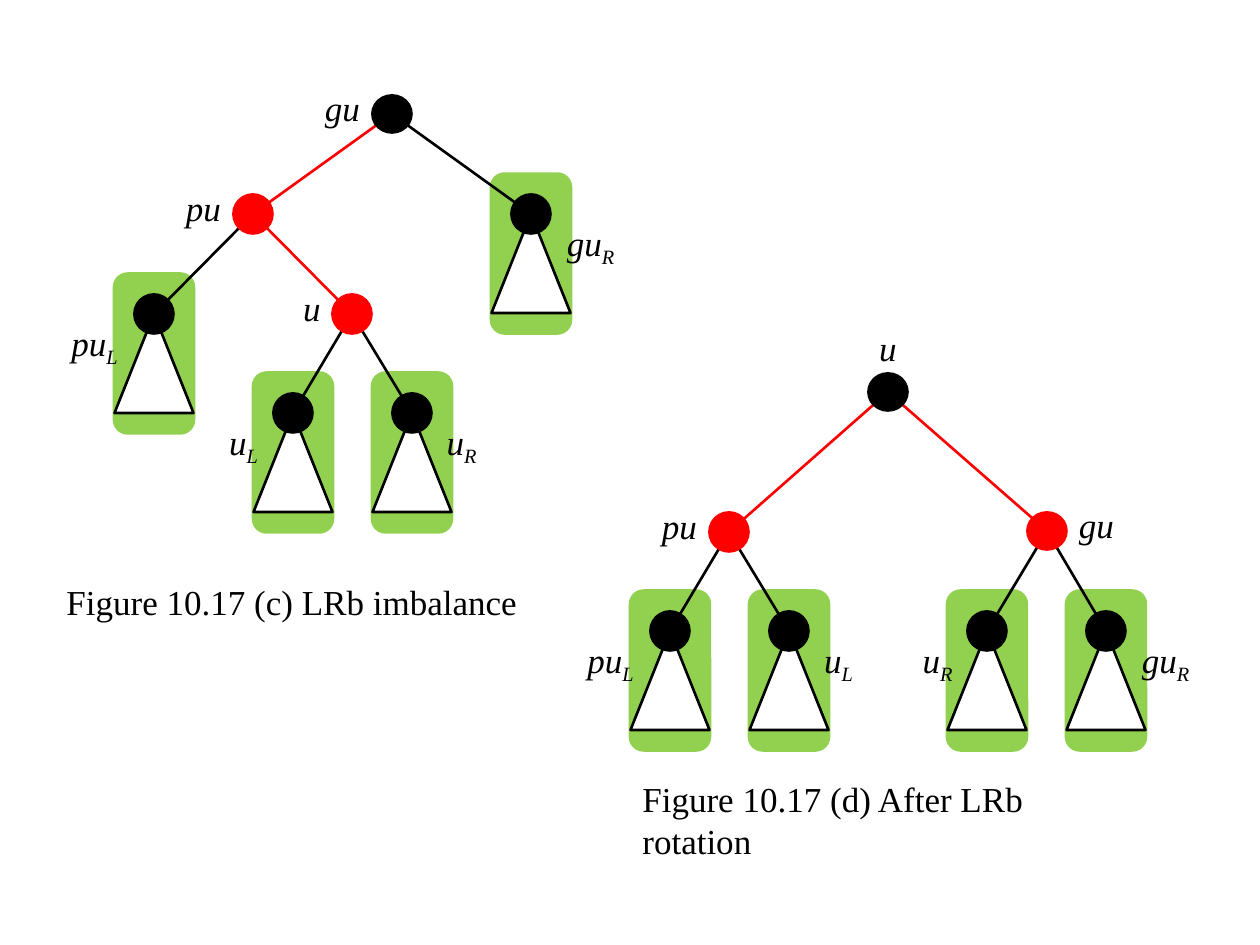
import pptx
import pptx.util
import pptx.dml.color
import pptx.enum.shapes
import pptx.enum.text
import pptx.oxml.ns
from collections import namedtuple
from lxml import etree

RGB = pptx.dml.color.RGBColor
BLACK, WHITE = RGB(0, 0, 0), RGB(255, 255, 255)
RED, GREEN = RGB(255, 0, 0), RGB(0x92, 0xD0, 0x50)
SHAPE = pptx.enum.shapes.MSO_SHAPE
ANCHOR = pptx.enum.text.MSO_ANCHOR
FONT = "Times New Roman"
DOT = 40  # node diameter, also the label height
FLAT = 38  # height of the slightly flattened nodes
SUBTREE_W, SUBTREE_H = 79, 99

# side is where the label stands; a subtree hangs a triangle below its node
Node = namedtuple("Node", "x y text sub side label_w color height subtree")


def px(n):
    return pptx.util.Emu(round(n * 914400 / 126))


def inner(x, y, text, side, color, label_w=59, height=DOT):
    return Node(x, y, text, "", side, label_w, color, height, False)


def leaf(x, y, text, sub, side):
    label_w = 59 if len(text) == 1 else 79
    return Node(x, y, text, sub, side, label_w, BLACK, DOT, True)


def add_shape(slide, kind, x, y, w, h, fill, line, width):
    sp = slide.shapes.add_shape(kind, px(x), px(y), px(w), px(h))
    sp.shadow.inherit = False
    sp.fill.solid()
    sp.fill.fore_color.rgb = fill
    sp.line.color.rgb = line
    sp.line.width = pptx.util.Pt(width)


def add_edge(slide, x1, y1, x2, y2, color):
    line = slide.shapes.add_connector(
        pptx.enum.shapes.MSO_CONNECTOR.STRAIGHT, px(x1), px(y1), px(x2), px(y2))
    line.line.color.rgb = color
    line.line.width = pptx.util.Pt(1.5)
    etree.SubElement(line._element.spPr, pptx.oxml.ns.qn("a:effectLst"))


def add_text(slide, x, y, w, h, text, anchor):
    tf = slide.shapes.add_textbox(px(x), px(y), px(w), px(h)).text_frame
    tf.word_wrap = True
    tf.vertical_anchor = anchor
    p = tf.paragraphs[0]
    p.add_run().text = text
    p.font.name = FONT
    p.font.size = pptx.util.Pt(20)
    p.font.color.rgb = BLACK
    return tf


def add_label(slide, x, y, node):
    dx = {"left": -(DOT + node.label_w) / 2, "right": (DOT + node.label_w) / 2,
          "above": 0}[node.side]
    dy = DOT if node.subtree else -node.height if node.side == "above" else 0
    tf = add_text(slide, x + dx - node.label_w / 2, y + dy - DOT / 2,
                  node.label_w, DOT, node.text, ANCHOR.BOTTOM)
    tf.margin_left = tf.margin_right = tf.margin_top = 0
    tf.margin_bottom = px(5)
    p = tf.paragraphs[0]
    p.alignment = pptx.enum.text.PP_ALIGN.CENTER
    p.font.italic = True
    if node.sub:
        r = p.add_run()
        r.text = node.sub
        r.font._element.set("baseline", "-25000")


def add_tree(slide, left, top, nodes, edges, caption, caption_box):
    places = [(left + n.x, top + n.y, n) for n in nodes.values()]
    subtrees = [(x - SUBTREE_W / 2, y) for x, y, n in places if n.subtree]

    # Green subtree frames
    for x, y in subtrees:
        add_shape(slide, SHAPE.FLOWCHART_ALTERNATE_PROCESS, x, y - 40,
                  SUBTREE_W, 159, GREEN, GREEN, 2)
    # Edges
    for start, end, color in edges:
        a, b = nodes[start], nodes[end]
        add_edge(slide, left + a.x, top + a.y, left + b.x, top + b.y, color)
    # Subtree triangles
    for x, y in subtrees:
        add_shape(slide, SHAPE.ISOSCELES_TRIANGLE, x, y,
                  SUBTREE_W, SUBTREE_H, WHITE, BLACK, 1.5)
    # Nodes and labels
    for x, y, n in places:
        add_shape(slide, SHAPE.OVAL, x - DOT / 2, y - n.height / 2, DOT, n.height,
                  n.color, n.color, 1)
        add_label(slide, x, y, n)
    # Caption
    x, y, w, h = caption_box
    tf = add_text(slide, left + x, top + y, w, h, caption, ANCHOR.MIDDLE)
    tf.margin_right = px(9)


prs = pptx.Presentation()
prs.slide_width, prs.slide_height = px(1260), px(945)
slide = prs.slides.add_slide(prs.slide_layouts[6])

# Tree before the rotation
add_tree(
    slide, 54, 95,
    {"gu": inner(338, 19, "gu", "left", BLACK, height=FLAT),
     "pu": inner(199, 119, "pu", "left", RED),
     "u": inner(298, 219, "u", "left", RED, 40),
     "puL": leaf(100, 219, "pu", "L", "left"),
     "guR": leaf(477, 119, "gu", "R", "right"),
     "uL": leaf(239, 318, "u", "L", "left"),
     "uR": leaf(358, 318, "u", "R", "right")},
    [("gu", "pu", RED), ("gu", "guR", BLACK), ("pu", "u", RED),
     ("pu", "puL", BLACK), ("u", "uL", BLACK), ("u", "uR", BLACK)],
    "Figure 10.17 (c) LRb imbalance", (0, 477, 476, 59))

# Tree after the rotation
add_tree(
    slide, 571, 334,
    {"u": inner(317, 58, "u", "above", BLACK, 40, FLAT),
     "pu": inner(158, 198, "pu", "left", RED),
     "gu": inner(476, 197, "gu", "right", RED, height=FLAT),
     "puL": leaf(99, 297, "pu", "L", "left"),
     "uL": leaf(218, 297, "u", "L", "right"),
     "uR": leaf(416, 297, "u", "R", "left"),
     "guR": leaf(535, 297, "gu", "R", "right")},
    [("u", "pu", RED), ("u", "gu", RED), ("pu", "puL", BLACK),
     ("pu", "uL", BLACK), ("gu", "uR", BLACK), ("gu", "guR", BLACK)],
    "Figure 10.17 (d) After LRb rotation", (59, 456, 515, 59))

prs.save("out.pptx")
